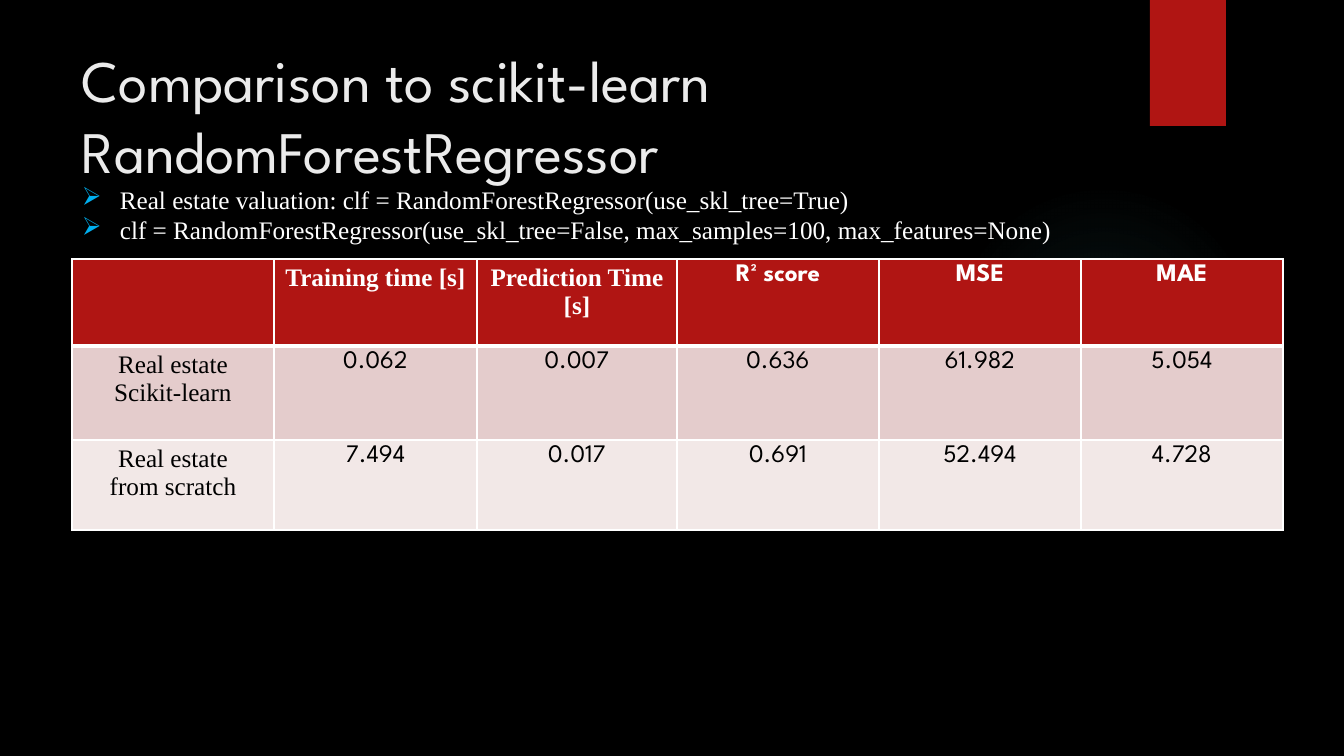
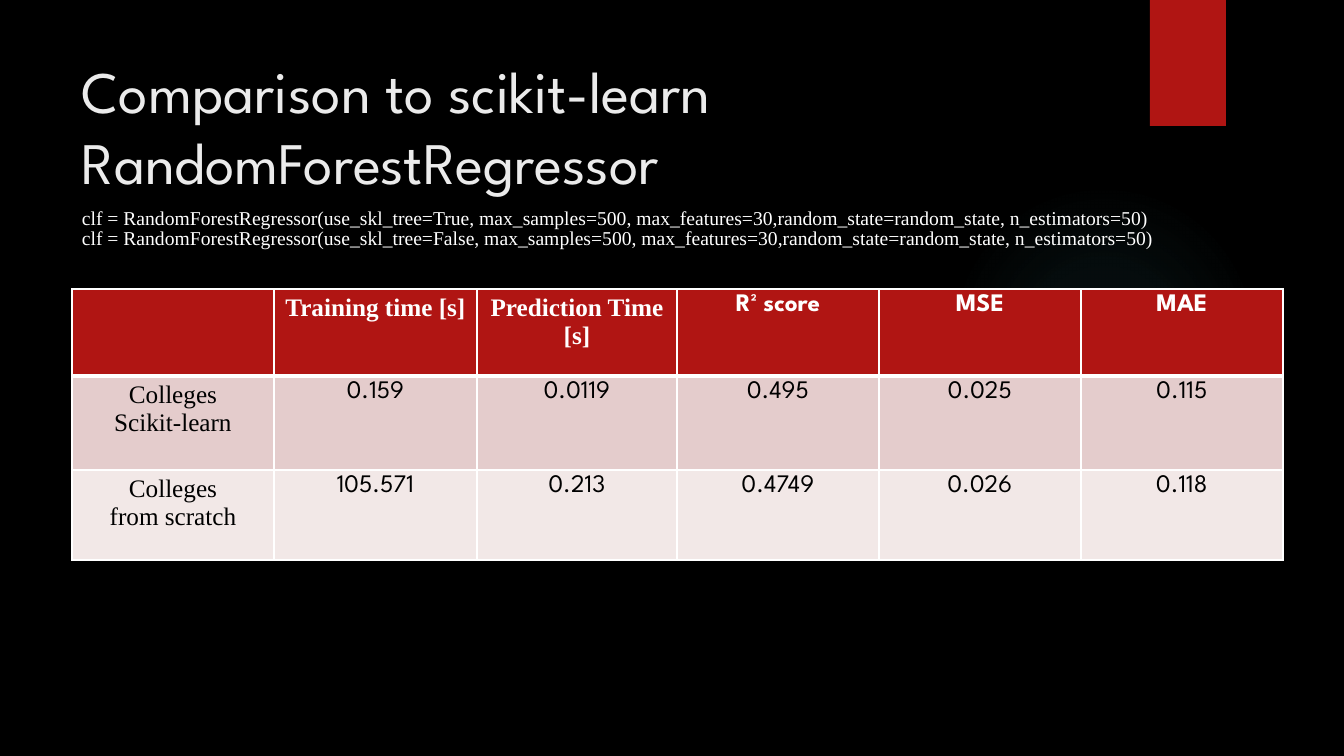
from dataclasses import dataclass

from lxml.etree import SubElement
from pptx import Presentation
from pptx.dml.color import RGBColor
from pptx.enum.shapes import MSO_SHAPE as Preset
from pptx.enum.text import MSO_ANCHOR as Anchor, PP_ALIGN as Align
from pptx.oxml import parse_xml
from pptx.oxml.ns import nsdecls, qn
from pptx.util import Emu, Pt

# Content
TITLE = "Comparison to scikit-learn RandomForestRegressor"
HEADER = ["", "Training time [s]", "Prediction Time [s]", "R² score", "MSE", "MAE"]
SLIDES = [
    {
        "title_top": 39, "notes_top": 179, "table_top": 259,
        "notes_style": "bulleted",
        "notes": [
            "Real estate valuation: clf = RandomForestRegressor(use_skl_tree=True)",
            "clf = RandomForestRegressor(use_skl_tree=False, max_samples=100, max_features=None)",
        ],
        "rows": [
            ["Real estate\nScikit-learn", "0.062", "0.007", "0.636", "61.982", "5.054"],
            ["Real estate\nfrom scratch", "7.494", "0.017", "0.691", "52.494", "4.728"],
        ],
    },
    {
        "title_top": 50, "notes_top": 205, "table_top": 289,
        "notes_style": "plain",
        "notes": [
            "clf = RandomForestRegressor(use_skl_tree=True, max_samples=500, "
            "max_features=30,random_state=random_state, n_estimators=50)",
            "clf = RandomForestRegressor(use_skl_tree=False, max_samples=500, "
            "max_features=30,random_state=random_state, n_estimators=50)",
        ],
        "rows": [
            ["Colleges\nScikit-learn", "0.159", "0.0119", "0.495", "0.025", "0.115"],
            ["Colleges\nfrom scratch", "105.571", "0.213", "0.4749", "0.026", "0.118"],
        ],
    },
]


# Theme
@dataclass(frozen=True)
class Theme:
    background: str = "000000"
    accent: str = "B01513"
    glow: str = "50B9C1"
    title: str = "EBEBEB"
    light: str = "FFFFFF"
    dark: str = "000000"
    bullet: str = "00B0F0"
    bands: tuple = ("E4CCCC", "F2E8E7")
    display_font: str = "League Spartan"
    body_font: str = "Times New Roman"
    title_size: int = 42
    body_size: int = 18
    small_size: int = 14
    small_leading: float = 14.2


THEME = Theme()
NOTES_SIZES = {"bulleted": THEME.body_size, "plain": THEME.small_size}

# Layout in px
SLIDE_WIDTH, SLIDE_HEIGHT = 1344, 756
LEFT = 72
TITLE_BOX = (1037, 154)
NOTES_BOX = (1160, 104)
TAB = (1150, 0, 76, 126)
GLOW = (949, 184, 310, 310)
BULLET_INDENT = 38
COLUMNS = [202, 203, 200, 202, 202, 202]
ROWS = [87, 94, 90]
SERIF_HEADER_COLUMNS = 3


def px(length):
    return Emu(round(length * 914400 / 100.8))


def color(value):
    return RGBColor.from_string(value)


def write(paragraph, text, font_color, **formats):
    run = paragraph.add_run()
    run.text = text
    run.font.color.rgb = color(font_color)
    for name, value in formats.items():
        setattr(run.font, name, value)


def add_plain_shape(slide, preset, box):
    shape = slide.shapes.add_shape(preset, *map(px, box))
    shape.shadow.inherit = False
    shape.line.fill.background()
    return shape


def add_text_box(slide, box):
    frame = slide.shapes.add_textbox(*map(px, box)).text_frame
    frame.word_wrap = True
    return frame


def next_paragraph(frame, index):
    return frame.add_paragraph() if index else frame.paragraphs[0]


# Shared backdrop and title
def add_backdrop(slide):
    background = slide.background.fill
    background.solid()
    background.fore_color.rgb = color(THEME.background)

    glow = add_plain_shape(slide, Preset.OVAL, GLOW)
    stops = "".join(
        f'<a:gs pos="{place}000"><a:srgbClr val="{THEME.glow}">'
        f'<a:alpha val="{alpha}000"/></a:srgbClr></a:gs>'
        for place, alpha in [(0, 7), (36, 6), (69, 0)]
    )
    gradient = parse_xml(
        f'<a:gradFill {nsdecls("a")}><a:gsLst>{stops}</a:gsLst><a:path path="circle">'
        '<a:fillToRect l="50000" t="50000" r="50000" b="50000"/></a:path></a:gradFill>'
    )
    glow._element.spPr.find(qn("a:prstGeom")).addnext(gradient)

    tab = add_plain_shape(slide, Preset.RECTANGLE, TAB)
    tab.fill.solid()
    tab.fill.fore_color.rgb = color(THEME.accent)


def add_title(slide, top):
    frame = add_text_box(slide, (LEFT, top, *TITLE_BOX))
    frame.vertical_anchor = Anchor.TOP
    write(frame.paragraphs[0], TITLE, THEME.title,
          name=THEME.display_font, size=Pt(THEME.title_size))


# Code lines under the title
def add_bullet(paragraph):
    properties = paragraph._p.get_or_add_pPr()
    properties.set("marL", str(px(BULLET_INDENT)))
    properties.set("indent", str(-px(BULLET_INDENT)))
    bullet_color = SubElement(properties, qn("a:buClr"))
    SubElement(bullet_color, qn("a:srgbClr"), val=THEME.bullet)
    SubElement(properties, qn("a:buChar"), char="➢")


def add_notes(slide, top, lines, style):
    frame = add_text_box(slide, (LEFT, top, *NOTES_BOX))
    for index, line in enumerate(lines):
        paragraph = next_paragraph(frame, index)
        if style == "bulleted":
            add_bullet(paragraph)
        else:
            paragraph.line_spacing = Pt(THEME.small_leading)
        write(paragraph, line, THEME.light,
              name=THEME.body_font, size=Pt(NOTES_SIZES[style]))


# Results table
def set_borders(cell, widths):
    properties = cell._tc.get_or_add_tcPr()
    for index, (side, width) in enumerate(widths.items()):
        border = parse_xml(
            f'<a:ln{side} {nsdecls("a")} w="{Pt(width)}"><a:solidFill>'
            f'<a:srgbClr val="{THEME.light}"/></a:solidFill></a:ln{side}>'
        )
        properties.insert(index, border)


def fill_cell(cell, text, row, column):
    is_header = row == 0
    serif = column < (SERIF_HEADER_COLUMNS if is_header else 1)
    cell.fill.solid()
    cell.fill.fore_color.rgb = color(THEME.accent if is_header else THEME.bands[row - 1])
    set_borders(cell, {"L": 1, "R": 1, "T": 3 if row == 1 else 1, "B": 3 if is_header else 1})
    for index, line in enumerate(text.split("\n") if text else []):
        paragraph = next_paragraph(cell.text_frame, index)
        paragraph.alignment = Align.CENTER
        write(paragraph, line, THEME.light if is_header else THEME.dark,
              name=THEME.body_font if serif else THEME.display_font,
              size=Pt(THEME.body_size), bold=is_header)


def add_results(slide, top, rows):
    frame = slide.shapes.add_table(len(ROWS), len(COLUMNS), px(LEFT), px(top),
                                   px(sum(COLUMNS)), px(sum(ROWS)))
    table = frame.table
    for column, width in zip(table.columns, COLUMNS):
        column.width = px(width)
    for row, height in zip(table.rows, ROWS):
        row.height = px(height)
    for row, texts in enumerate([HEADER, *rows]):
        for column, text in enumerate(texts):
            fill_cell(table.cell(row, column), text, row, column)


def main():
    presentation = Presentation()
    presentation.slide_width = px(SLIDE_WIDTH)
    presentation.slide_height = px(SLIDE_HEIGHT)
    for content in SLIDES:
        slide = presentation.slides.add_slide(presentation.slide_layouts[6])
        add_backdrop(slide)
        add_title(slide, content["title_top"])
        add_results(slide, content["table_top"], content["rows"])
        add_notes(slide, content["notes_top"], content["notes"], content["notes_style"])
    presentation.save("out.pptx")


if __name__ == "__main__":
    main()
